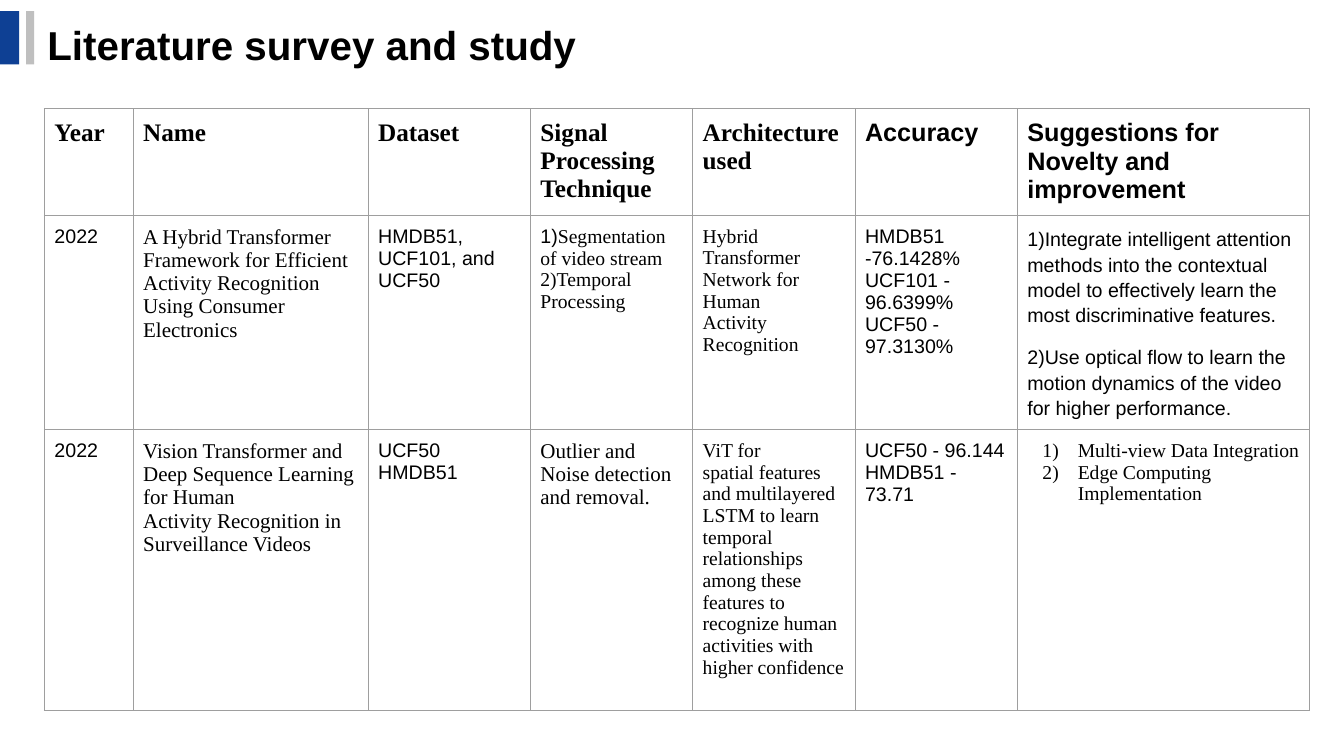
from dataclasses import dataclass

from lxml.etree import SubElement
from pptx import Presentation
from pptx.dml.color import RGBColor as RGB
from pptx.enum.shapes import MSO_SHAPE
from pptx.enum.text import MSO_ANCHOR as ANCHOR, PP_ALIGN as ALIGN
from pptx.oxml import parse_xml
from pptx.oxml.ns import nsdecls, qn
from pptx.util import Inches, Pt


@dataclass(frozen=True)
class Theme:
    text: str = "000000"
    blue: str = "0E4094"
    gray: str = "BFBFBF"
    border: str = "9E9E9E"
    sans: str = "Arial"
    serif: str = "Times New Roman"
    title: float = 28.8
    header: float = 18
    name: float = 15
    body: float = 14
    border_width: float = 0.75


T = Theme()
TITLE = "Literature survey and study"
ACCENTS = [(0, 0.19, T.blue), (0.26, 0.08, T.gray)]
ACCENT_TOP, ACCENT_HEIGHT = 0.11, 0.53

TABLE_LEFT, TABLE_TOP = 0.44, 1.08
COLUMNS = [0.88, 2.33, 1.61, 1.61, 1.61, 1.61, 2.9]
ROWS = [1.06, 2.12, 2.78]

HEADER = [
    (T.serif, ["Year"]),
    (T.serif, ["Name"]),
    (T.serif, ["Dataset"]),
    (T.serif, ["Signal Processing", "Technique"]),
    (T.serif, ["Architecture used"]),
    (T.sans, ["Accuracy"]),
    (T.sans, ["Suggestions for", "Novelty and improvement"]),
]
STUDIES = [
    [
        (T.sans, T.body, ["2022"]),
        (T.serif, T.name, ["A Hybrid Transformer Framework for Efficient Activity "
                           "Recognition Using Consumer Electronics"]),
        (T.sans, T.body, ["HMDB51, UCF101, and UCF50"]),
        (T.serif, T.body, [[("1)", T.sans), ("Segmentation of video stream", T.serif)],
                           "2)Temporal Processing"]),
        (T.serif, T.body, ["Hybrid Transformer Network for Human",
                           "Activity Recognition"]),
        (T.sans, T.body, ["HMDB51 -76.1428%", "UCF101 - 96.6399%", "UCF50 - 97.3130%"]),
        (T.sans, T.body, ["1)Integrate intelligent attention methods into the contextual "
                          "model to effectively learn the most discriminative features.",
                          "2)Use optical flow to learn the motion dynamics of the video "
                          "for higher performance."]),
    ],
    [
        (T.sans, T.body, ["2022"]),
        (T.serif, T.name, ["Vision Transformer and Deep Sequence Learning for Human",
                           "Activity Recognition in Surveillance Videos"]),
        (T.sans, T.body, ["UCF50", "HMDB51"]),
        (T.serif, T.name, ["Outlier and Noise detection and removal."]),
        (T.serif, T.body, ["ViT for",
                           "spatial features and multilayered LSTM to learn",
                           "temporal relationships among these features to",
                           "recognize human activities with higher confidence"]),
        (T.sans, T.body, ["UCF50 - 96.144", "HMDB51 - 73.71"]),
        (T.serif, T.body, ["Multi-view Data Integration", "Edge Computing Implementation"]),
    ],
]
SPACED_CELL, NUMBERED_CELL = (1, 6), (2, 6)


def style(font, name, size, bold=False):
    font.name, font.size, font.bold = name, Pt(size), bold
    font.color.rgb = RGB.from_string(T.text)


def add_borders(cell):
    tc_pr = cell._tc.get_or_add_tcPr()
    for i, side in enumerate(("lnL", "lnR", "lnT", "lnB")):
        tc_pr.insert(i, parse_xml(
            f'<a:{side} {nsdecls("a")} w="{Pt(T.border_width)}"><a:solidFill>'
            f'<a:srgbClr val="{T.border}"/></a:solidFill></a:{side}>'))


def number(p):
    p_pr = p._p.get_or_add_pPr()
    p_pr.set("marL", str(Inches(0.5)))
    p_pr.set("indent", str(Inches(-0.35)))
    SubElement(p_pr, qn("a:buAutoNum"), type="arabicParenR")


def fill_cell(cell, font, size, lines, bold):
    cell.margin_left = cell.margin_right = Inches(0.1)
    cell.margin_top = cell.margin_bottom = Inches(0.1)
    cell.vertical_anchor = ANCHOR.TOP
    cell.fill.background()
    add_borders(cell)
    tf = cell.text_frame
    for i, line in enumerate(lines):
        p = tf.add_paragraph() if i else tf.paragraphs[0]
        style(p.font, font, size, bold)
        for text, face in [(line, font)] if isinstance(line, str) else line:
            r = p.add_run()
            r.text = text
            if face != font:
                r.font.name = face


def add_title(s):
    sp = s.shapes.title
    sp.left, sp.top, sp.width, sp.height = map(Inches, (0.37, 0.11, 6, 0.67))
    tf = sp.text_frame
    tf.word_wrap = True
    tf.vertical_anchor = ANCHOR.MIDDLE
    p = tf.paragraphs[0]
    p.text = TITLE
    p.alignment = ALIGN.LEFT
    style(p.font, T.sans, T.title, True)


def add_accents(s):
    for left, width, color in ACCENTS:
        sp = s.shapes.add_shape(MSO_SHAPE.RECTANGLE, Inches(left), Inches(ACCENT_TOP),
                                Inches(width), Inches(ACCENT_HEIGHT))
        sp.shadow.inherit = False
        sp.fill.solid()
        sp.fill.fore_color.rgb = RGB.from_string(color)
        sp.line.fill.background()


def add_survey(s):
    table = s.shapes.add_table(len(ROWS), len(COLUMNS), Inches(TABLE_LEFT), Inches(TABLE_TOP),
                               Inches(sum(COLUMNS)), Inches(sum(ROWS))).table
    table.first_row = table.horz_banding = False
    for column, width in zip(table.columns, COLUMNS):
        column.width = Inches(width)
    for row, height in zip(table.rows, ROWS):
        row.height = Inches(height)
    header = [(font, T.header, lines) for font, lines in HEADER]
    for i, row in enumerate([header, *STUDIES]):
        for j, (font, size, lines) in enumerate(row):
            fill_cell(table.cell(i, j), font, size, lines, bold=i == 0)
    for p in table.cell(*SPACED_CELL).text_frame.paragraphs:
        p.line_spacing = 1.15
        p.space_before = Pt(12)
    for p in table.cell(*NUMBERED_CELL).text_frame.paragraphs:
        number(p)


def main():
    prs = Presentation()
    prs.slide_width, prs.slide_height = Inches(13.33), Inches(7.5)
    s = prs.slides.add_slide(prs.slide_layouts[5])
    add_title(s)
    add_accents(s)
    add_survey(s)
    prs.save("out.pptx")


if __name__ == "__main__":
    main()
